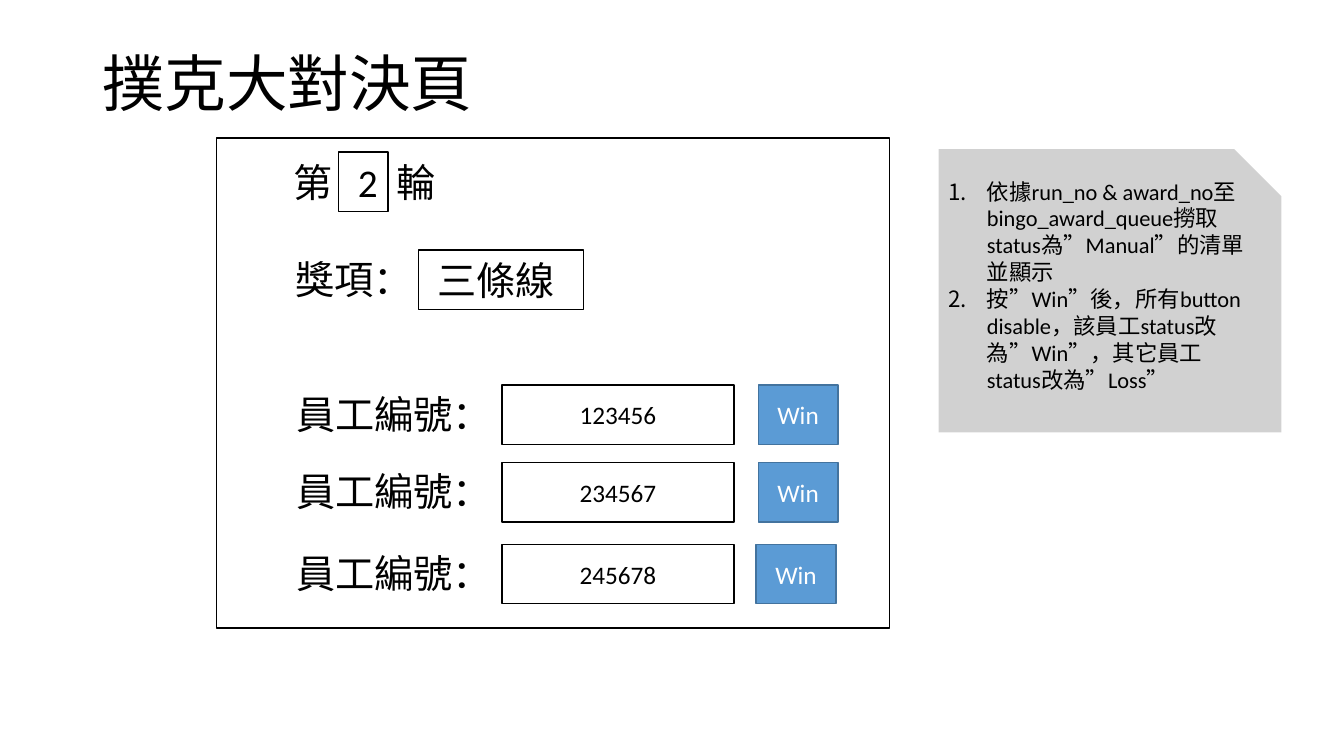
import pptx
import pptx.dml.color
import pptx.enum.shapes
import pptx.enum.text
import pptx.util
from lxml import etree
from pptx.oxml.ns import qn

Inches = pptx.util.Inches
ALIGN = pptx.enum.text.PP_ALIGN
ANCHOR = pptx.enum.text.MSO_ANCHOR
SHAPE = pptx.enum.shapes.MSO_SHAPE

COLORS = {
    "text": "000000",
    "panel": "FFFFFF",
    "button": "5B9BD5",
    "button_line": "43739E",
    "note": "A5A5A5",
}
FONT = "Calibri"
FIELD_HEIGHT = 0.59
LABEL_LEFT = 2.81

# Top of the row, employee number, left of the button
EMPLOYEES = [(3.82, "123456", 7.52), (4.59, "234567", 7.52), (5.4, "245678", 7.5)]

NOTES = [
    "依據run_no & award_no至bingo_award_queue撈取status為”Manual”的清單並顯示",
    "按”Win”後，所有button disable，該員工status改為”Win”，其它員工status改為”Loss”",
]


def color_of(name):
    """Return the named colour as an RGBColor."""
    return pptx.dml.color.RGBColor.from_string(COLORS[name])


def write_text(paragraph, text, size=28, color="text", align=ALIGN.LEFT):
    """Add a formatted run to a paragraph."""
    paragraph.alignment = align
    run = paragraph.add_run()
    run.text = text
    run.font.name = FONT
    run.font.size = pptx.util.Pt(size)
    run.font.color.rgb = color_of(color)


def add_box(slide, left, top, width, height=FIELD_HEIGHT, kind=SHAPE.RECTANGLE,
            fill="panel", line="text"):
    """Add a filled shape, outlined when a line colour is named."""
    shape = slide.shapes.add_shape(
        kind, Inches(left), Inches(top), Inches(width), Inches(height))
    shape.shadow.inherit = False
    shape.fill.solid()
    shape.fill.fore_color.rgb = color_of(fill)
    if line:
        shape.line.color.rgb = color_of(line)
        shape.line.width = pptx.util.Pt(1)
    else:
        shape.line.fill.background()
    return shape


def add_field(slide, left, top, width, text, inset=0.1, box=None, **text_format):
    """Add a one-line box with vertically centred text."""
    frame = add_box(slide, left, top, width, **(box or {})).text_frame
    frame.vertical_anchor = ANCHOR.MIDDLE
    frame.margin_left = Inches(inset)
    write_text(frame.paragraphs[0], text, **text_format)


def add_label(slide, left, top, width, text):
    """Add a right-aligned label that does not wrap."""
    label = slide.shapes.add_textbox(
        Inches(left), Inches(top), Inches(width), Inches(0.57))
    frame = label.text_frame
    frame.word_wrap = False
    frame.auto_size = pptx.enum.text.MSO_AUTO_SIZE.SHAPE_TO_FIT_TEXT
    write_text(frame.paragraphs[0], text, align=ALIGN.RIGHT)


def add_title(slide, text):
    """Place and fill the title placeholder."""
    title = slide.shapes.title
    title.left, title.top = Inches(0.92), Inches(0.13)
    title.width, title.height = Inches(11.5), Inches(1.45)
    title.text_frame.vertical_anchor = ANCHOR.MIDDLE
    paragraph = title.text_frame.paragraphs[0]
    paragraph.line_spacing = 0.9
    write_text(paragraph, text, size=44)


def add_employee(slide, top, number, button_left):
    """Add a label, a number field and a Win button in one row."""
    add_label(slide, LABEL_LEFT, top, 2.17, "員工編號：")
    add_field(slide, 4.98, top, 2.3, number, size=18, align=ALIGN.CENTER)
    add_field(slide, button_left, top, 0.79, "Win", size=18, color="panel",
              align=ALIGN.CENTER, box={"fill": "button", "line": "button_line"})


def number_paragraph(paragraph):
    """Give a paragraph a hanging indent and an automatic number."""
    properties = paragraph._p.get_or_add_pPr()
    indent = Inches(0.38)
    properties.set("marL", str(indent))
    properties.set("indent", str(-indent))
    etree.SubElement(properties, qn("a:buFont"), typeface="+mj-lt")
    etree.SubElement(properties, qn("a:buAutoNum"), type="arabicPeriod")


def add_note(slide, items):
    """Add the half-transparent note with a numbered list."""
    note = add_box(slide, 9.31, 1.48, 3.4, 2.81, kind=SHAPE.SNIP_1_RECTANGLE,
                   fill="note", line=None)
    fill_color = note._element.spPr.find(qn("a:solidFill"))[0]
    etree.SubElement(fill_color, qn("a:alpha"), val="50000")
    frame = note.text_frame
    frame.word_wrap = True
    frame.vertical_anchor = ANCHOR.TOP
    for index, item in enumerate(items):
        paragraph = frame.add_paragraph() if index else frame.paragraphs[0]
        write_text(paragraph, item, size=16)
        number_paragraph(paragraph)


def main():
    """Build the slide and save it."""
    presentation = pptx.Presentation()
    presentation.slide_width = Inches(13.33)
    presentation.slide_height = Inches(7.5)
    slide = presentation.slides.add_slide(presentation.slide_layouts[5])

    add_title(slide, "撲克大對決頁")
    add_box(slide, 2.15, 1.37, 6.67, 4.86)

    add_label(slide, LABEL_LEFT, 1.52, 0.59, "第")
    add_label(slide, 3.83, 1.52, 0.59, "輪")
    add_field(slide, 3.36, 1.51, 0.49, "2", inset=0.19)

    add_label(slide, LABEL_LEFT, 2.48, 1.38, "獎項：")
    add_field(slide, 4.15, 2.48, 1.64, "三條線", inset=0.19)

    for employee in EMPLOYEES:
        add_employee(slide, *employee)
    add_note(slide, NOTES)

    presentation.save("out.pptx")


main()
